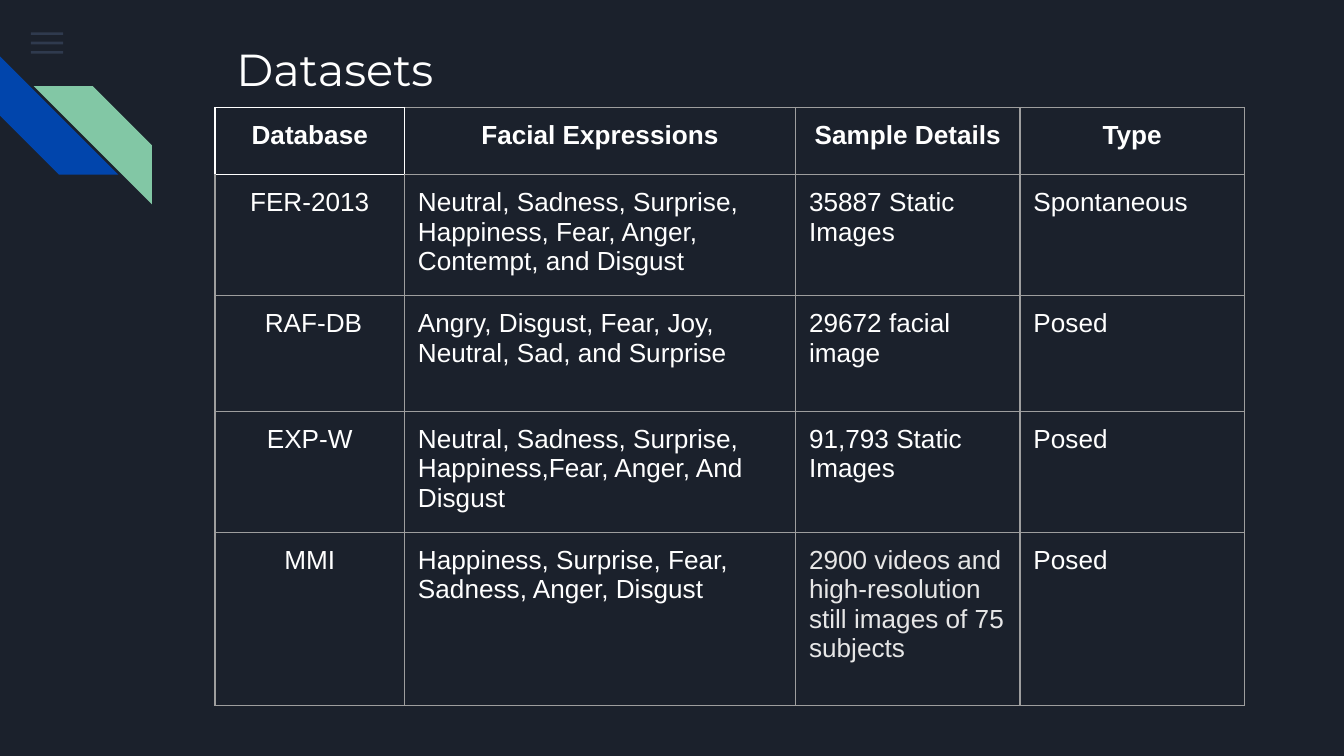
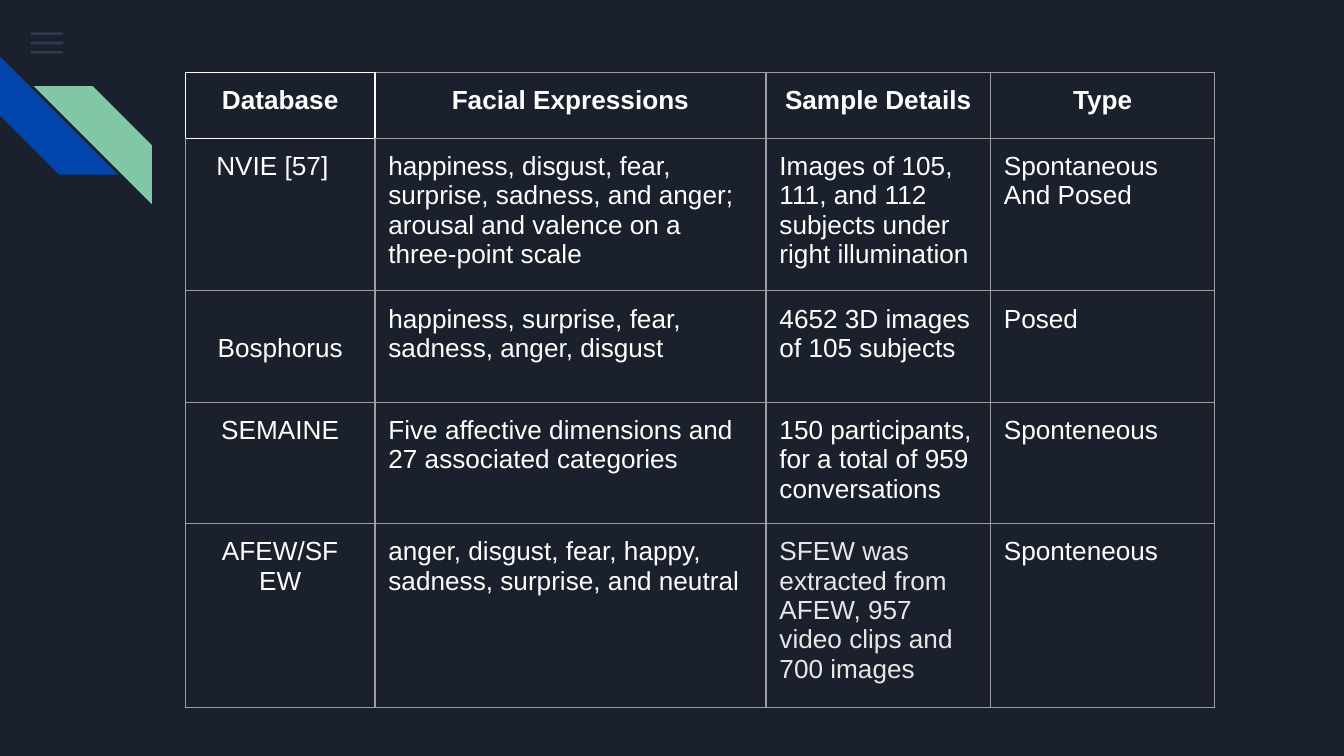
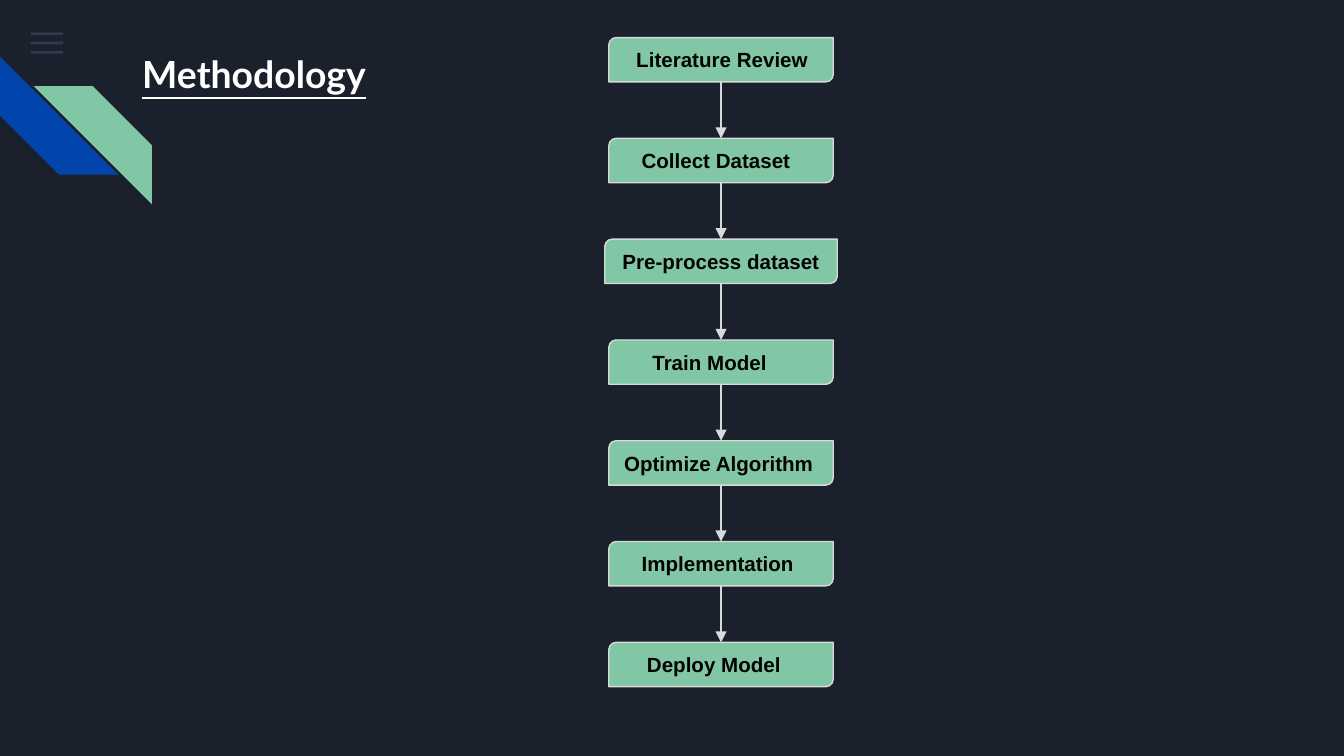
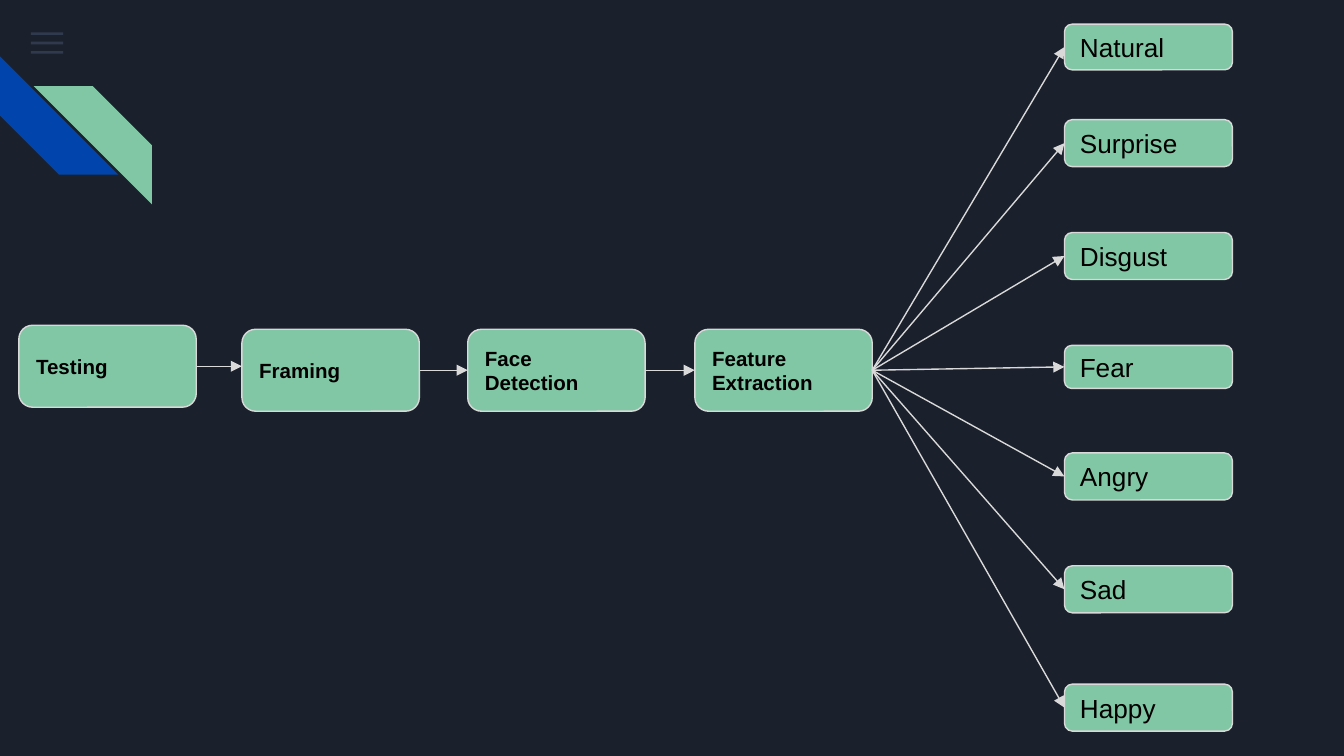
from itertools import pairwise

from lxml import etree
from pptx import Presentation
from pptx.dml.color import RGBColor
from pptx.enum import shapes, text
from pptx.oxml import ns
from pptx.util import Inches, Pt

NIGHT = RGBColor(0x1B, 0x21, 0x2C)
SLATE = RGBColor(0x55, 0x68, 0x8B)
BLUE = RGBColor(0x01, 0x45, 0xAC)
GREEN = RGBColor(0x82, 0xC7, 0xA5)
WHITE = RGBColor(0xFF, 0xFF, 0xFF)
PALE = RGBColor(0xE7, 0xE7, 0xE7)
SILVER = RGBColor(0xD9, 0xD9, 0xD9)
GRAY = RGBColor(0x9E, 0x9E, 0x9E)
BLACK = RGBColor(0, 0, 0)

FORM = shapes.MSO_SHAPE
LEFT, CENTER = text.PP_ALIGN.LEFT, text.PP_ALIGN.CENTER
INSET = 0.1
LINE_WIDTH = Pt(0.75)

COLUMN_WIDTHS = [1.41, 2.91, 1.67, 1.67]
HEADER = ["Database", "Facial Expressions", "Sample Details", "Type"]

COMMON_DATASETS = [
    HEADER,
    ["FER-2013", "Neutral, Sadness, Surprise, Happiness, Fear, Anger, Contempt, and Disgust",
     "35887 Static Images", "Spontaneous"],
    ["RAF-DB", "Angry, Disgust, Fear, Joy, Neutral, Sad, and Surprise",
     "29672 facial image", "Posed"],
    ["EXP-W", "Neutral, Sadness, Surprise, Happiness,Fear, Anger, And Disgust",
     "91,793 Static Images", "Posed"],
    ["MMI", "Happiness, Surprise, Fear, Sadness, Anger, Disgust",
     "2900 videos and high-resolution still images of 75 subjects", "Posed"],
]
FURTHER_DATASETS = [
    HEADER,
    ["NVIE [57]", "happiness, disgust, fear, surprise, sadness, and anger; "
     "arousal and valence on a three-point scale",
     "Images of 105, 111, and 112 subjects under right illumination",
     "Spontaneous\nAnd Posed"],
    ["Bosphorus", "happiness, surprise, fear, sadness, anger, disgust",
     "4652 3D images of 105 subjects", "Posed"],
    ["SEMAINE", "Five affective dimensions and 27 associated categories",
     "150 participants, for a total of 959 conversations", "Sponteneous"],
    ["AFEW/SF EW", "anger, disgust, fear, happy, sadness, surprise, and neutral",
     "SFEW was extracted from AFEW, 957 video clips and 700 images", "Sponteneous"],
]

# Step label and its left indent; None centres the label in a wider box
STEPS = [
    ("Literature Review", 0.09), ("Collect Dataset", 0.13),
    ("Pre-process dataset", None), ("Train Model", 0.21),
    ("Optimize Algorithm", 0), ("Implementation", 0.13), ("Deploy Model", 0.17),
]
# Label, left and top within the diagram
STAGES = [("Testing", 0, 2.24), ("Framing", 1.66, 2.27),
          ("Face Detection", 3.34, 2.27), ("Feature Extraction", 5.03, 2.27)]
# Label, top within the diagram and height
EMOTIONS = [("Natural", 0, 0.34), ("Surprise", 0.71, 0.35), ("Disgust", 1.55, 0.35),
            ("Fear", 2.39, 0.32), ("Angry", 3.19, 0.35), ("Sad", 4.03, 0.35),
            ("Happy", 4.91, 0.35)]


def write(frame, words, size, color, bold=False, font="Arial", align=LEFT, indent=0):
    frame.text = words
    frame.word_wrap = True
    for para in frame.paragraphs:
        para.alignment = align
        if indent:
            para._p.get_or_add_pPr().set("marL", str(Inches(indent)))
        para.font.size = Pt(size)
        para.font.bold = bold
        para.font.color.rgb = color
        para.font.name = font
        # Row heights are measured with the typeface of the runs
        for span in para.runs:
            span.font.name = font


def set_insets(holder):
    holder.margin_left = holder.margin_right = Inches(INSET)
    holder.margin_top = holder.margin_bottom = Inches(INSET)


def add_form(page, kind, left, top, width, height, color):
    form = page.shapes.add_shape(kind, Inches(left), Inches(top), Inches(width), Inches(height))
    form.shadow.inherit = False
    form.fill.solid()
    form.fill.fore_color.rgb = color
    form.line.fill.background()
    return form


def add_label_box(page, kind, left, top, width, height, words, size, **style):
    box = add_form(page, kind, left, top, width, height, GREEN)
    box.line.color.rgb = SILVER
    box.line.width = LINE_WIDTH
    set_insets(box.text_frame)
    box.text_frame.vertical_anchor = text.MSO_ANCHOR.MIDDLE
    write(box.text_frame, words, size, BLACK, **style)


def add_arrow(page, start, end):
    arrow = page.shapes.add_connector(
        shapes.MSO_CONNECTOR.STRAIGHT, *(Inches(value) for value in (*start, *end)))
    arrow.line.color.rgb = SILVER
    arrow.line.width = LINE_WIDTH
    etree.SubElement(arrow.line._get_or_add_ln(), ns.qn("a:tailEnd"), type="triangle")
    etree.SubElement(arrow._element.spPr, ns.qn("a:effectLst"))


def add_title(page, left, top, width, height, words, size, font, bold=False):
    box = page.shapes.add_textbox(Inches(left), Inches(top), Inches(width), Inches(height))
    set_insets(box.text_frame)
    write(box.text_frame, words, size, WHITE, bold=bold, font=font)
    return box.text_frame.paragraphs[0]


def add_page(deck):
    """Add a blank page with the menu bars and corner stripes."""
    page = deck.slides.add_slide(deck.slide_layouts[6])
    for row in range(3):
        bar = add_form(page, FORM.RECTANGLE, 0.23, 0.24 + 0.07 * row, 0.24, 0.02, SLATE)
        tint = bar.fill._xPr.find(".//" + ns.qn("a:srgbClr"))
        etree.SubElement(tint, ns.qn("a:alpha"), val="36000")
    add_form(page, FORM.DIAGONAL_STRIPE, 0, 0.42, 0.88, 0.88, BLUE).rotation = 270
    stripe = add_form(page, FORM.DIAGONAL_STRIPE, 0.25, 0.64, 0.88, 0.88, GREEN)
    stripe._element.spPr.xfrm.set("flipH", "1")
    return page


def set_borders(cell, white_sides):
    properties = cell._tc.get_or_add_tcPr()
    for position, side in enumerate("LRTB"):
        edge = etree.Element(ns.qn("a:ln" + side), w=str(LINE_WIDTH))
        fill = etree.SubElement(edge, ns.qn("a:solidFill"))
        color = WHITE if side in white_sides else GRAY
        etree.SubElement(fill, ns.qn("a:srgbClr"), val=str(color))
        properties.insert(position, edge)


def add_dataset_table(page, left, top, row_heights, rows):
    frame = page.shapes.add_table(
        len(rows), len(COLUMN_WIDTHS), Inches(left), Inches(top),
        Inches(sum(COLUMN_WIDTHS)), Inches(sum(row_heights)))
    table = frame.table
    table.first_row = table.horz_banding = False
    for column, width in zip(table.columns, COLUMN_WIDTHS):
        column.width = Inches(width)
    for line, height in zip(table.rows, row_heights):
        line.height = Inches(height)

    # The first header cell is outlined in white, shared with its neighbours
    white_sides = {(0, 0): "LRTB", (0, 1): "L", (1, 0): "T"}
    for r, row in enumerate(rows):
        for c, words in enumerate(row):
            cell = table.cell(r, c)
            cell.fill.background()
            set_insets(cell)
            set_borders(cell, white_sides.get((r, c), ""))
            pale = r == len(rows) - 1 and c == 2
            write(cell.text_frame, words, 14, PALE if pale else WHITE, bold=r == 0,
                  align=CENTER if r == 0 or c == 0 else LEFT)
    return table


def indent_name(cell, indent):
    para = cell.text_frame.paragraphs[0]
    para.alignment = LEFT
    para._p.get_or_add_pPr().set("marL", str(Inches(indent)))


def add_step_flow(page, left, top):
    width, height, pitch = 1.67, 0.33, 0.75
    middle = left + width / 2
    for number, (words, indent) in enumerate(STEPS):
        step_top = top + number * pitch
        centered = indent is None
        extra = 0.03 if centered else 0
        add_label_box(page, FORM.ROUND_2_DIAG_RECTANGLE, left - extra, step_top,
                      width + 2 * extra, height, words, 11, bold=True,
                      align=CENTER if centered else LEFT, indent=indent or 0)
        if number:
            add_arrow(page, (middle, step_top - pitch + height), (middle, step_top))


def add_recognition_flow(page, left, top):
    width, height = 1.32, 0.61
    emotion_left, emotion_width = left + 7.78, 1.25

    # Processing stages
    for words, x, y in STAGES:
        add_label_box(page, FORM.ROUNDED_RECTANGLE, left + x, top + y, width, height,
                      words, 11, bold=True)
    for (_, x, y), (_, next_x, _) in pairwise(STAGES):
        level = top + y + height / 2
        add_arrow(page, (left + x + width, level), (left + next_x, level))

    # Emotions fanning out from the last stage
    _, x, y = STAGES[-1]
    source = (left + x + width, top + y + height / 2)
    for words, y, emotion_height in EMOTIONS:
        add_label_box(page, FORM.ROUNDED_RECTANGLE, emotion_left, top + y,
                      emotion_width, emotion_height, words, 14)
        add_arrow(page, source, (emotion_left, top + y + emotion_height / 2))


def main():
    deck = Presentation()
    # Widescreen, 16 to 9
    deck.slide_width = Inches(10)
    deck.slide_height = Inches(10) * 9 // 16
    backdrop = deck.slide_master.background.fill
    backdrop.solid()
    backdrop.fore_color.rgb = NIGHT

    # Datasets
    page = add_page(deck)
    title = add_title(page, 1.66, 0.15, 6.13, 0.65, "Datasets", 24, "Montserrat")
    title.line_spacing = 1.15
    title.space_after = Pt(16)
    table = add_dataset_table(page, 1.6, 0.8, [0.5, 0.87, 0.86, 0.87, 1.29], COMMON_DATASETS)
    indent_name(table.cell(2, 0), 0.27)

    # Datasets, continued
    page = add_page(deck)
    table = add_dataset_table(page, 1.38, 0.54, [0.49, 1.1, 0.83, 0.87, 1.32], FURTHER_DATASETS)
    indent_name(table.cell(1, 0), 0.13)
    table.cell(2, 0).margin_top = Inches(0.32)

    # Methodology
    page = add_page(deck)
    title = add_title(page, 0.96, 0.28, 2.8, 0.54, "Methodology", 20, "Lato", bold=True)
    title.font.underline = True
    add_step_flow(page, 4.53, 0.28)

    # Recognition pipeline
    add_recognition_flow(add_page(deck), 0.14, 0.18)

    deck.save("out.pptx")


if __name__ == "__main__":
    main()
